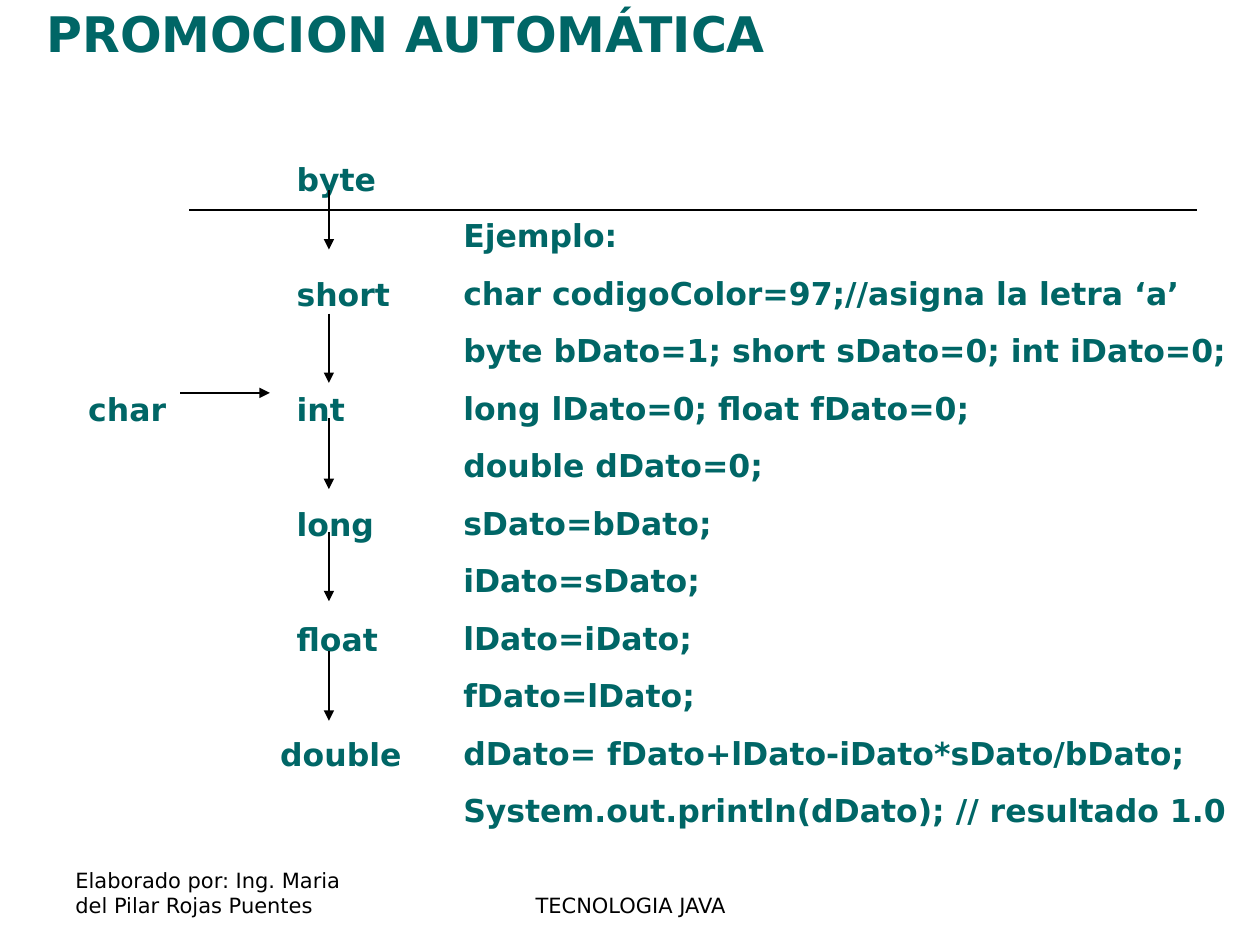
from lxml import etree
from pptx import Presentation
from pptx import util as u
from pptx.dml.color import RGBColor
from pptx.enum import shapes, text
from pptx.oxml.ns import qn

COLORS = {"teal": "006666", "black": "000000"}
FONT = "DejaVu Sans"


class SlideBuilder:
    """Holds the slide and the shared style; all lengths are in centimetres."""

    def __init__(self, slide):
        self.slide = slide

    def text_box(self, left, top, width, height, lines, size=18, color="teal", bold=True,
                 align=text.PP_ALIGN.LEFT, anchor=text.MSO_ANCHOR.TOP, space_before=0):
        shape = self.slide.shapes.add_textbox(u.Cm(left), u.Cm(top), u.Cm(width), u.Cm(height))
        frame = shape.text_frame
        frame.word_wrap = True
        frame.vertical_anchor = anchor
        frame.text = "\n".join(lines)
        for paragraph in frame.paragraphs:
            paragraph.alignment = align
            paragraph.space_before = u.Pt(space_before)
            paragraph.font.name = FONT
            paragraph.font.size = u.Pt(size)
            paragraph.font.bold = bold
            paragraph.font.color.rgb = RGBColor.from_string(COLORS[color])

    def footer(self, left, width, line, align):
        self.text_box(left, 17.35, width, 1.27, [line], size=12, color="black", bold=False,
                      align=align, anchor=text.MSO_ANCHOR.BOTTOM)

    def line(self, x1, y1, x2, y2, width=0.75, arrow=False):
        connector = self.slide.shapes.add_connector(
            shapes.MSO_CONNECTOR.STRAIGHT, u.Cm(x1), u.Cm(y1), u.Cm(x2), u.Cm(y2))
        connector.line.width = u.Pt(width)
        connector.line.color.rgb = RGBColor.from_string(COLORS["black"])
        if arrow:
            etree.SubElement(connector.line._get_or_add_ln(), qn("a:tailEnd"), type="triangle")
        etree.SubElement(connector._element.spPr, qn("a:effectLst"))


def main():
    presentation = Presentation()
    presentation.slide_width, presentation.slide_height = u.Cm(25.4), u.Cm(19.05)
    builder = SlideBuilder(presentation.slides.add_slide(presentation.slide_layouts[6]))

    # Title and rule
    builder.line(3.81, 4.24, 24.13, 4.24, width=1)
    builder.text_box(0.69, -0.05, 16.4, 1.4, ["PROMOCION AUTOMÁTICA"], size=28)

    # Type chain: one label per row, at an even pitch
    first_row, row_pitch, type_left = 3.1, 2.32, 5.73
    types = ["byte", "short", "int", "long", "float", "double"]
    for row, name in enumerate(types):
        left = 5.4 if name == "double" else type_left
        builder.text_box(left, first_row + row * row_pitch, 3.2, 1, [name])
    builder.text_box(1.53, first_row + types.index("int") * row_pitch, 2.4, 1, ["char"])

    # Promotion arrows
    for start, end in [(3.84, 5.03), (6.32, 7.72), (8.43, 9.86), (10.72, 12.12), (13.13, 14.53)]:
        builder.line(6.63, start, 6.63, end, arrow=True)
    builder.line(3.63, 7.92, 5.44, 7.92, arrow=True)

    # Code example
    builder.text_box(9.09, 4.24, 16.31, 13.77, [
        "Ejemplo:",
        "char codigoColor=97;//asigna la letra ‘a’",
        "byte bDato=1; short sDato=0; int iDato=0;",
        "long lDato=0; float fDato=0;",
        "double dDato=0;",
        "sDato=bDato;",
        "iDato=sDato;",
        "lDato=iDato;",
        "fDato=lDato;",
        "dDato= fDato+lDato-iDato*sDato/bDato;",
        "System.out.println(dDato); // resultado 1.0",
    ], space_before=11.25)

    # Footer
    builder.footer(8.69, 8.05, "TECNOLOGIA JAVA", text.PP_ALIGN.CENTER)
    builder.footer(1.27, 5.92, "Elaborado por: Ing. Maria del Pilar Rojas Puentes",
                   text.PP_ALIGN.LEFT)

    presentation.save("out.pptx")


if __name__ == "__main__":
    main()
